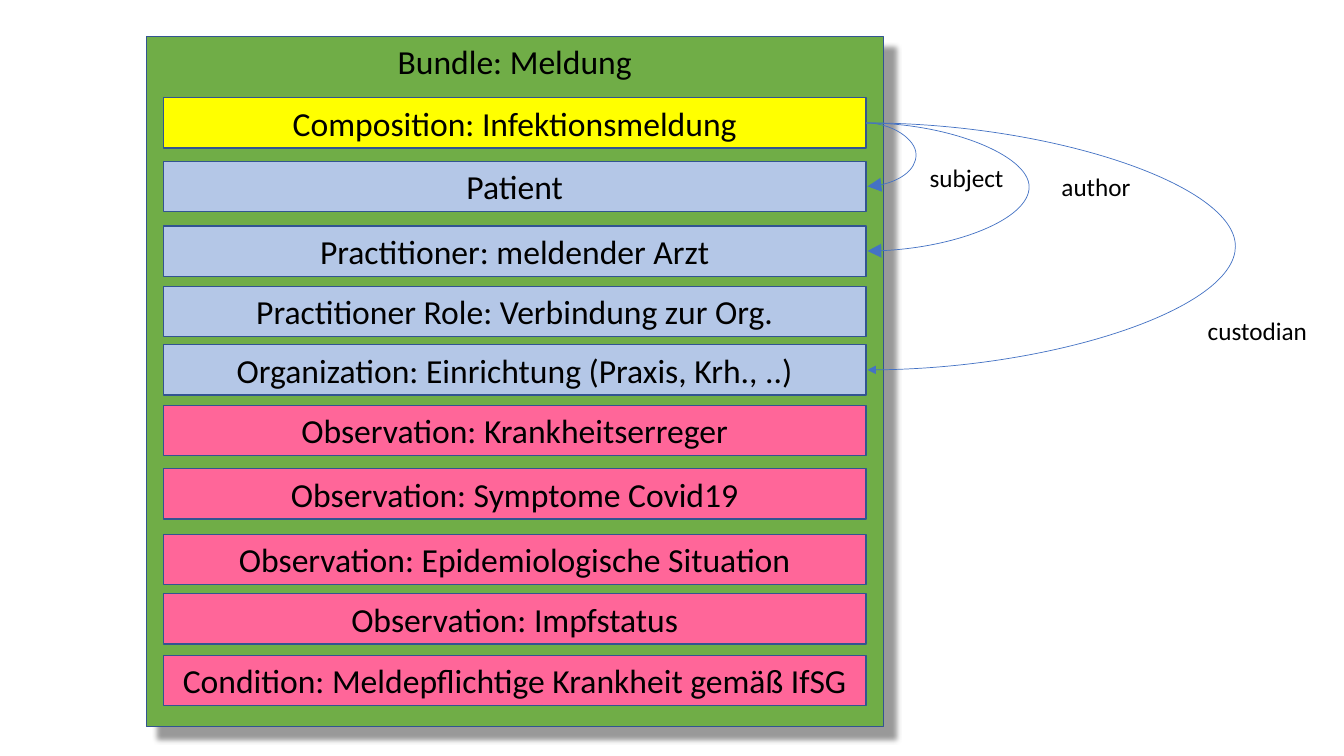
import pptx
import pptx.dml.color
import pptx.enum.dml
import pptx.enum.shapes
import pptx.enum.text
import pptx.oxml
import pptx.oxml.ns
import pptx.util

RGBColor = pptx.dml.color.RGBColor
BLACK = RGBColor(0x00, 0x00, 0x00)
GREEN = RGBColor(0x70, 0xAD, 0x47)
YELLOW = RGBColor(0xFF, 0xFF, 0x00)
LIGHT_BLUE = RGBColor(0xB4, 0xC7, 0xE7)
PINK = RGBColor(0xFF, 0x66, 0x99)
OUTLINE_BLUE = RGBColor(0x32, 0x54, 0x91)
ARROW_BLUE = RGBColor(0x44, 0x72, 0xC4)

FONT = "Calibri"
SLIDE_WIDTH = pptx.util.Inches(13.33)
SLIDE_HEIGHT = pptx.util.Inches(7.5)
ARROW_STEP = pptx.util.Pt(1)

# All places are percentages of the slide's width and height.
BUNDLE_AREA = (10.88, 4.8, 54.84, 91.33)
ENTRY_LEFT, ENTRY_WIDTH, ENTRY_HEIGHT = 12.15, 52.29, 6.67
LABEL_HEIGHT = 5.33

# Text, top, fill
ENTRIES = [
    ("Composition: Infektionsmeldung", 12.93, YELLOW),
    ("Patient", 21.33, LIGHT_BLUE),
    ("Practitioner: meldender Arzt", 29.87, LIGHT_BLUE),
    ("Practitioner Role: Verbindung zur Org.", 37.87, LIGHT_BLUE),
    ("Organization: Einrichtung (Praxis, Krh., ..)", 45.6, LIGHT_BLUE),
    ("Observation: Krankheitserreger", 53.6, PINK),
    ("Observation: Symptome Covid19", 62, PINK),
    ("Observation: Epidemiologische Situation", 70.67, PINK),
    ("Observation: Impfstatus", 78.53, PINK),
    ("Condition: Meldepflichtige Krankheit gemäß IfSG", 86.67, PINK),
]

# Label, its left, top and width, index of the target entry, reach, arrowhead size
REFERENCES = [
    ("subject", 68.42, 20.8, 7.05, 1, 3.75, "lg"),
    ("author", 78.24, 22, 6.68, 2, 12.23, "lg"),
    ("custodian", 89.12, 41.07, 9, 4, 27.7, "med"),
]


def across(percent):
    """Turn a share of the slide's width into a length."""
    return round(SLIDE_WIDTH * percent / 100)


def down(percent):
    """Turn a share of the slide's height into a length."""
    return round(SLIDE_HEIGHT * percent / 100)


def place(left, top, width, height):
    """Turn an area in percent into lengths."""
    return across(left), down(top), across(width), down(height)


def write(box, text, size, alignment):
    """Put one line of black text into a box."""
    box.text_frame.text = text
    para = box.text_frame.paragraphs[0]
    para.alignment = alignment
    font = para.runs[0].font
    font.name = FONT
    font.size = pptx.util.Pt(size)
    font.color.rgb = BLACK


def add_box(slide, area, text, fill, anchor):
    """Add an outlined rectangle with centred text."""
    box = slide.shapes.add_shape(pptx.enum.shapes.MSO_SHAPE.RECTANGLE, *place(*area))
    box.shadow.inherit = False
    box.fill.solid()
    box.fill.fore_color.rgb = fill
    box.line.color.rgb = OUTLINE_BLUE
    box.line.width = pptx.util.Pt(1)
    box.text_frame.vertical_anchor = anchor
    write(box, text, 24, pptx.enum.text.PP_ALIGN.CENTER)
    return box


def add_shadow(box):
    """Drop a soft shadow to the lower right of a box."""
    effects = box._element.spPr.find(pptx.oxml.ns.qn("a:effectLst"))
    effects.append(pptx.oxml.parse_xml(
        f'<a:outerShdw {pptx.oxml.ns.nsdecls("a")} blurRad="{pptx.util.Pt(4)}" '
        f'dist="{pptx.util.Pt(12)}" dir="2700000" algn="tl" rotWithShape="0">'
        '<a:srgbClr val="000000"><a:alpha val="40000"/></a:srgbClr></a:outerShdw>'))


def add_label(slide, area, text):
    """Add the name of a reference."""
    box = slide.shapes.add_textbox(*place(*area))
    box.text_frame.word_wrap = False
    write(box, text, 18, pptx.enum.text.PP_ALIGN.LEFT)


def add_loop(slide, source, target, reach, head_size):
    """Add a curved arrow bulging right from one entry to another."""
    arrow = slide.shapes.add_connector(
        pptx.enum.shapes.MSO_CONNECTOR.CURVE, 0, 0, 0, 0)
    arrow.begin_connect(source, 3)
    arrow.end_connect(target, 3)
    arrow.end_x = arrow.begin_x + ARROW_STEP
    arrow.line.color.rgb = ARROW_BLUE
    arrow.line.width = pptx.util.Pt(0.5)
    namespace = pptx.oxml.ns.nsdecls("a")
    arrow.line._get_or_add_ln().append(pptx.oxml.parse_xml(
        f'<a:tailEnd {namespace} type="triangle" w="{head_size}" len="{head_size}"/>'))
    properties = arrow._element.spPr
    properties.append(pptx.oxml.parse_xml(f"<a:effectLst {namespace}/>"))
    bend = round(100000 * across(reach) / ARROW_STEP)
    guides = properties.prstGeom.get_or_add_avLst()
    guides.append(pptx.oxml.parse_xml(
        f'<a:gd {namespace} name="adj1" fmla="val {bend}"/>'))


def main():
    """Build the slide and save it."""
    deck = pptx.Presentation()
    deck.slide_width, deck.slide_height = SLIDE_WIDTH, SLIDE_HEIGHT
    slide = deck.slides.add_slide(deck.slide_layouts[6])

    bundle = add_box(slide, BUNDLE_AREA, "Bundle: Meldung", GREEN,
                     pptx.enum.text.MSO_ANCHOR.TOP)
    add_shadow(bundle)
    entries = [
        add_box(slide, (ENTRY_LEFT, top, ENTRY_WIDTH, ENTRY_HEIGHT), text, fill,
                pptx.enum.text.MSO_ANCHOR.MIDDLE)
        for text, top, fill in ENTRIES
    ]
    for text, left, top, width, target, reach, head_size in REFERENCES:
        add_loop(slide, entries[0], entries[target], reach, head_size)
        add_label(slide, (left, top, width, LABEL_HEIGHT), text)
    deck.save("out.pptx")


if __name__ == "__main__":
    main()
